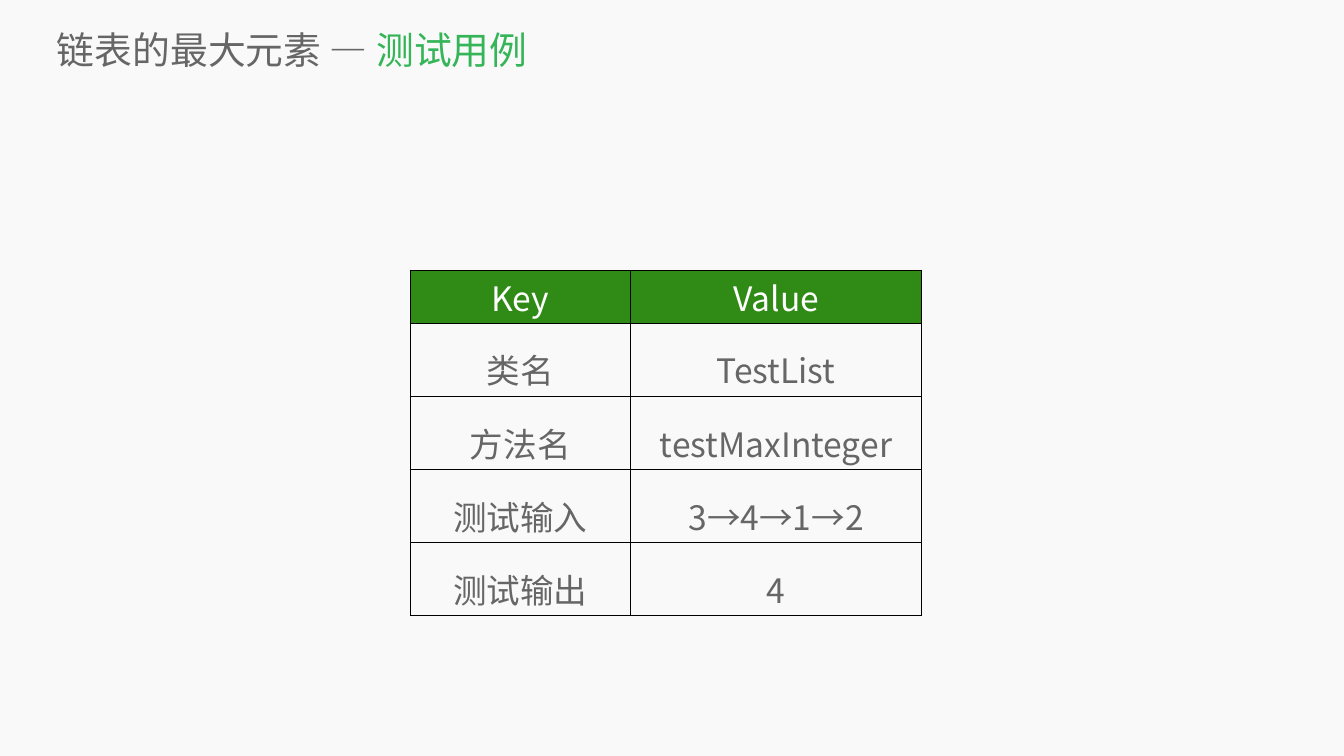
from dataclasses import dataclass

from lxml.etree import SubElement
from pptx import Presentation
from pptx.dml.color import RGBColor
from pptx.enum.text import MSO_ANCHOR, PP_ALIGN
from pptx.oxml.ns import qn
from pptx.util import Inches, Pt


@dataclass(frozen=True)
class Theme:
    font: str = "Noto Sans CJK SC"
    background: str = "F9F9F9"
    text: str = "666666"
    accent: str = "35B558"
    header_fill: str = "308B16"
    header_text: str = "FFFFFF"
    border: str = "000000"
    border_width: float = 1
    title_size: float = 54
    table_size: float = 48
    body_spacing: float = 1.4


THEME = Theme()

TITLE = [("链表的最大元素 — ", THEME.text), ("测试用例", THEME.accent)]
TEST_CASE = [
    ("Key", "Value"),
    ("类名", "TestList"),
    ("方法名", "testMaxInteger"),
    ("测试输入", "3→4→1→2"),
    ("测试输出", "4"),
]

SLIDE_SIZE = (26.67, 15)
TITLE_BOX = (1.13, 0.47, 25.16, 1.02)
TABLE_LEFT, TABLE_TOP = 8.14, 5.36
COLUMN_WIDTHS = (4.37, 5.78)
HEADER_HEIGHT, BODY_HEIGHT = 1.05, 1.45


def inches(values):
    return [Inches(value) for value in values]


def set_font(paragraph, size):
    """Set size and typeface, for Latin and East Asian letters alike."""
    paragraph.font.size = Pt(size)
    paragraph.font.name = THEME.font
    properties = paragraph.font._element
    SubElement(properties, qn("a:ea"), typeface=THEME.font)


def add_run(paragraph, text, color):
    run = paragraph.add_run()
    run.text = text
    run.font.color.rgb = RGBColor.from_string(color)


def add_borders(cell):
    properties = cell._tc.get_or_add_tcPr()
    for side in ("lnL", "lnR", "lnT", "lnB"):
        line = SubElement(properties, qn(f"a:{side}"), w=str(Pt(THEME.border_width)))
        fill = SubElement(line, qn("a:solidFill"))
        SubElement(fill, qn("a:srgbClr"), val=THEME.border)


def add_title(slide):
    frame = slide.shapes.add_textbox(*inches(TITLE_BOX)).text_frame
    frame.word_wrap = True
    frame.vertical_anchor = MSO_ANCHOR.MIDDLE
    frame.margin_left = frame.margin_right = frame.margin_top = frame.margin_bottom = 0
    paragraph = frame.paragraphs[0]
    set_font(paragraph, THEME.title_size)
    for text, color in TITLE:
        add_run(paragraph, text, color)


def fill_cell(cell, text, is_header):
    add_borders(cell)
    paragraph = cell.text_frame.paragraphs[0]
    paragraph.alignment = PP_ALIGN.CENTER
    if is_header:
        cell.fill.solid()
        cell.fill.fore_color.rgb = RGBColor.from_string(THEME.header_fill)
    else:
        cell.fill.background()
        paragraph.line_spacing = THEME.body_spacing
    set_font(paragraph, THEME.table_size)
    add_run(paragraph, text, THEME.header_text if is_header else THEME.text)


def add_test_table(slide):
    row_heights = [HEADER_HEIGHT] + [BODY_HEIGHT] * (len(TEST_CASE) - 1)
    box = (TABLE_LEFT, TABLE_TOP, sum(COLUMN_WIDTHS), sum(row_heights))
    table = slide.shapes.add_table(len(TEST_CASE), len(COLUMN_WIDTHS), *inches(box)).table
    table.horz_banding = False
    for column, width in zip(table.columns, COLUMN_WIDTHS):
        column.width = Inches(width)
    for index, (row, height, texts) in enumerate(zip(table.rows, row_heights, TEST_CASE)):
        row.height = Inches(height)
        for cell, text in zip(row.cells, texts):
            fill_cell(cell, text, is_header=index == 0)


def main():
    presentation = Presentation()
    presentation.slide_width, presentation.slide_height = inches(SLIDE_SIZE)
    slide = presentation.slides.add_slide(presentation.slide_layouts[6])
    slide.background.fill.solid()
    slide.background.fill.fore_color.rgb = RGBColor.from_string(THEME.background)
    add_title(slide)
    add_test_table(slide)
    presentation.save("out.pptx")


if __name__ == "__main__":
    main()
